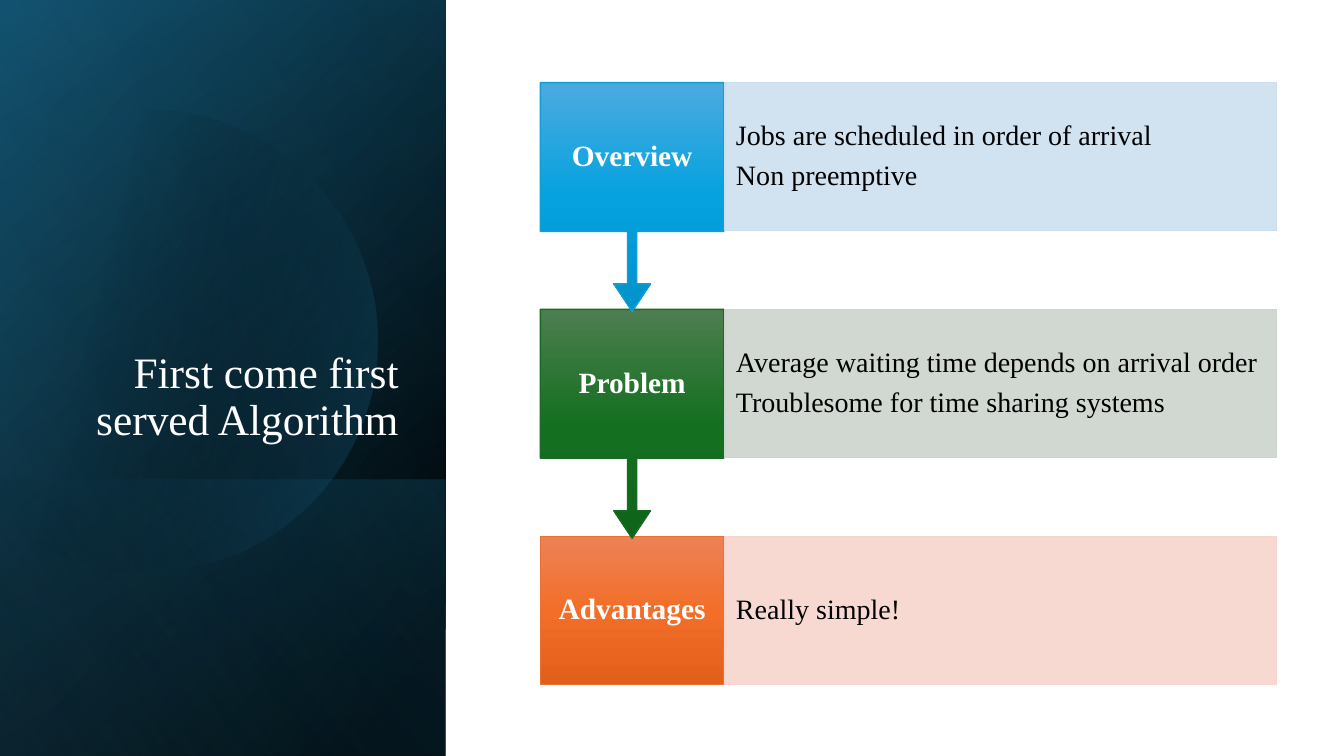
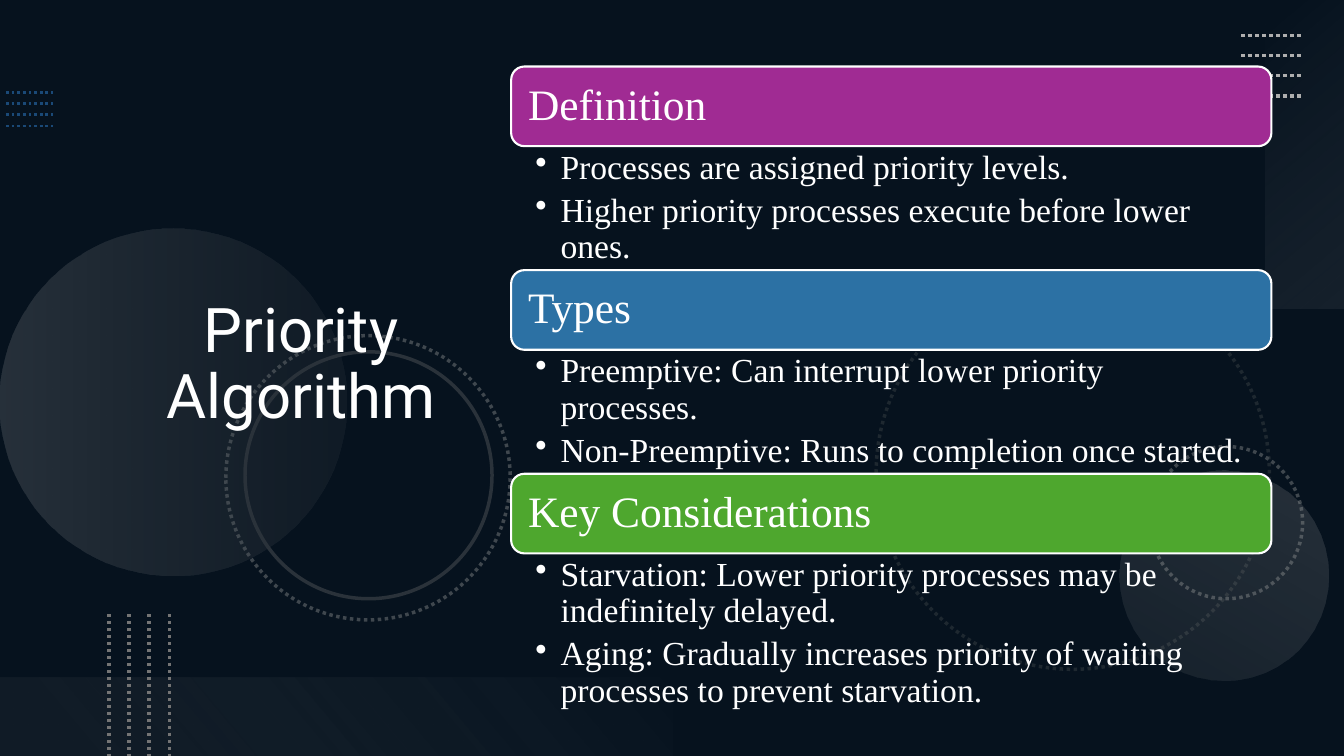
from dataclasses import dataclass
from math import acos, cos, sin

from lxml import etree
from pptx import Presentation
from pptx.dml.color import RGBColor
from pptx.enum.dml import MSO_LINE
from pptx.enum.shapes import MSO_CONNECTOR, MSO_SHAPE
from pptx.enum.text import MSO_ANCHOR, PP_ALIGN
from pptx.oxml.ns import qn
from pptx.util import Inches, Pt

RECT, OVAL = MSO_SHAPE.RECTANGLE, MSO_SHAPE.OVAL
ROUND, CALLOUT = MSO_SHAPE.ROUNDED_RECTANGLE, MSO_SHAPE.DOWN_ARROW_CALLOUT
STRAIGHT, DOTS = MSO_CONNECTOR.STRAIGHT, MSO_LINE.ROUND_DOT
LEFT, CENTER, RIGHT = PP_ALIGN.LEFT, PP_ALIGN.CENTER, PP_ALIGN.RIGHT
TOP, MIDDLE, BOTTOM = MSO_ANCHOR.TOP, MSO_ANCHOR.MIDDLE, MSO_ANCHOR.BOTTOM


@dataclass(frozen=True)
class Theme:
    # Colours
    white: str = "FFFFFF"
    black: str = "000000"
    night: str = "06121E"
    deep: str = "104862"
    teal: str = "156082"
    sky: str = "46B1E1"
    blue: str = "1A4977"
    gray: str = "747474"
    silver: str = "AEAEAE"
    dot: str = "3F474E"
    ring: str = "2A323A"
    faint: str = "1E2830"
    # Row colours: gradient, edge, pale panel
    rows: tuple = (
        (("4CAADF", "05A2DF", "0092CB"), "0F9ED5", "CCDFEF"),
        (("4D7E50", "156F21", "0F661B"), "196B24", "CCD4CD"),
        (("ED8257", "F26E29", "E25F1A"), "E97132", "F7D5CE"),
    )
    bars: tuple = ("A02B93", "2C71A4", "4EA72E")
    # Fonts and type sizes
    serif: str = "Times New Roman"
    sans: str = "Roboto"
    big: int = 44
    head: int = 31
    item: int = 24
    label: int = 21
    body: int = 20


class Deck:
    def __init__(self, theme):
        self.theme = theme
        self.show = Presentation()
        self.show.slide_width = Inches(13.33)
        self.show.slide_height = Inches(7.5)

    def page(self, color):
        self.slide = self.show.slides.add_slide(self.show.slide_layouts[6])
        fill = self.slide.background.fill
        fill.solid()
        fill.fore_color.rgb = RGBColor.from_string(color)

    def ink(self, line, color, width, dash=None):
        line.color.rgb = RGBColor.from_string(color)
        line.width = Pt(width)
        if dash:
            line.dash_style = dash

    def fade(self, shape, stops, angle):
        """Fill with (position, colour, opacity) stops; angle is clockwise."""
        shape.fill.gradient()
        shape.fill.gradient_angle = (360 - angle) % 360
        group = shape._element.spPr.find(qn("a:gradFill")).find(qn("a:gsLst"))
        for old in list(group):
            group.remove(old)
        for place, color, alpha in stops:
            stop = etree.SubElement(group, qn("a:gs"), pos=str(place * 1000))
            tint = etree.SubElement(stop, qn("a:srgbClr"), val=color)
            etree.SubElement(tint, qn("a:alpha"), val=str(alpha * 1000))

    def shape(self, kind, box, fill=None, stops=None, angle=0, line=None):
        item = self.slide.shapes.add_shape(kind, *map(Inches, box))
        item.shadow.inherit = False
        if stops:
            self.fade(item, stops, angle)
        elif fill:
            item.fill.solid()
            item.fill.fore_color.rgb = RGBColor.from_string(fill)
        else:
            item.fill.background()
        if line:
            self.ink(item.line, *line)
        else:
            item.line.fill.background()
        return item

    def disc(self, x, y, radius, edge, stops, angle):
        """Draw a circle cut off by a vertical line at x = edge."""
        reach = acos((edge - x) / radius)
        turns = [reach * (step / 60 - 1) for step in range(121)]
        dots = [(Inches(x + radius * cos(t)), Inches(y + radius * sin(t)))
                for t in turns]
        pen = self.slide.shapes.build_freeform(*dots[0])
        pen.add_line_segments(dots[1:], close=True)
        item = pen.convert_to_shape()
        item.shadow.inherit = False
        item.line.fill.background()
        self.fade(item, stops, angle)

    def rule(self, start, end, color, width=2.5):
        line = self.slide.shapes.add_connector(
            STRAIGHT, *map(Inches, (*start, *end)))
        self.ink(line.line, color, width, DOTS)
        etree.SubElement(line._element.spPr, qn("a:effectLst"))

    def label(self, item, text, size, color, align=LEFT, anchor=MIDDLE,
              pad=(0.1, 0.05), after=0, bold=False, font=None, bullet=False):
        frame = item.text_frame
        frame.word_wrap = True
        frame.vertical_anchor = anchor
        frame.margin_left = frame.margin_right = Inches(pad[0])
        frame.margin_top = frame.margin_bottom = Inches(pad[1])
        frame.text = text
        for para in frame.paragraphs:
            para.alignment = align
            para.line_spacing = 0.9
            para.space_after = Pt(after)
            if bullet:
                para.level = 1
                props = para._p.get_or_add_pPr()
                props.set("marL", str(Inches(0.25)))
                props.set("indent", str(-Inches(0.25)))
                etree.SubElement(props, qn("a:buChar"), char="•")
            para.font.name = font or self.theme.serif
            para.font.size = Pt(size)
            para.font.bold = bold
            para.font.color.rgb = RGBColor.from_string(color)

    def text(self, box, text, size, color, **style):
        item = self.slide.shapes.add_textbox(*map(Inches, box))
        self.label(item, text, size, color, **style)

    def title(self, box, text, size, **style):
        self.text(box, text, size, self.theme.white, **style)


def first(deck):
    theme = deck.theme
    deck.page(theme.white)

    # Side panel
    side = (0, 0, 4.42, 7.5)
    deck.shape(RECT, side, angle=220,
               stops=[(8, theme.black, 100), (100, theme.deep, 100)])
    deck.shape(RECT, side, angle=240,
               stops=[(0, theme.black, 0), (99, theme.teal, 46)])
    deck.shape(RECT, (0, 4.76, 4.42, 2.74), angle=140,
               stops=[(2, theme.teal, 29), (100, theme.black, 30)])
    deck.disc(1.45, 3.38, 2.29, 0, angle=14,
              stops=[(29, theme.black, 0), (100, theme.teal, 43)])
    deck.shape(RECT, side, angle=150,
               stops=[(0, theme.black, 0), (99, theme.sky, 11)])
    deck.title((0.64, 1.84, 3.41, 2.62), "First come first served Algorithm",
               theme.head, align=RIGHT, anchor=BOTTOM)

    # Rows, lowest first so that each arrow tip lies over the next row
    rows = [
        ("Overview", "Jobs are scheduled in order of arrival\nNon preemptive"),
        ("Problem", "Average waiting time depends on arrival order\n"
         "Troublesome for time sharing systems"),
        ("Advantages", "Really simple!"),
    ]
    last = len(rows) - 1
    for index in range(last, -1, -1):
        name, body = rows[index]
        shades, edge, pale = theme.rows[index]
        top = 0.82 + 2.25 * index
        kind, tall = (RECT, 1.47) if index == last else (CALLOUT, 2.27)
        stops = [(50 * n, shade, 100) for n, shade in enumerate(shades)]
        head = deck.shape(kind, (5.36, top, 1.82, tall), stops=stops,
                          angle=90, line=(edge, 1))
        if kind == CALLOUT:
            for slot, value in enumerate((0.05, 0.1, 0.15, 0.65)):
                head.adjustments[slot] = value
        deck.label(head, name, theme.label, theme.white, align=CENTER,
                   pad=(0.13, 0.16), bold=True)
        panel = deck.shape(RECT, (7.19, top, 5.47, 1.47),
                           stops=[(0, pale, 90), (100, pale, 90)],
                           line=(pale, 1))
        deck.label(panel, body, theme.body, theme.black, pad=(0.11, 0.28),
                   after=7)


def second(deck):
    theme = deck.theme
    deck.page(theme.night)

    # Blue dots and rings
    for row in range(4):
        y = 0.92 + 0.11 * row
        deck.rule((0.06, y), (0.53, y), theme.blue, 2)
    for x, y, size, color in ((8.69, 2.74, 3.9, theme.faint),
                              (11.41, 4.43, 1.51, theme.dot)):
        deck.shape(OVAL, (x, y, size, size), line=(color, 2.5, DOTS))

    # Soft discs
    deck.shape(OVAL, (0, 2.27, 3.44, 3.44),
               stops=[(0, theme.silver, 20), (100, theme.gray, 10)])
    deck.shape(OVAL, (11.1, 4.67, 2.08, 2.08), angle=300,
               stops=[(0, theme.silver, 10), (100, theme.silver, 20)])
    deck.shape(OVAL, (2.24, 3.33, 2.82, 2.82), line=(theme.dot, 2.5, DOTS))
    deck.shape(OVAL, (2.43, 3.49, 2.45, 2.45), line=(theme.ring, 2.5))

    # Corner bands and dotted lines
    deck.shape(RECT, (12.55, 0, 0.78, 3.06), angle=50,
               stops=[(0, theme.white, 0), (100, theme.silver, 10)])
    for row in range(4):
        y = 0.35 + 0.2 * row
        deck.rule((12.31, y), (12.91, y), theme.silver)
    deck.shape(RECT, (0, 6.72, 6.67, 0.78), angle=320,
               stops=[(10, theme.gray, 10), (100, theme.white, 0)])
    for column in range(4):
        x = 1.08 + 0.2 * column
        deck.rule((x, 6.09), (x, 7.5), theme.gray)

    deck.title((0.69, 0.54, 4.59, 6.17), "Priority\vAlgorithm", theme.big,
               align=CENTER, font=theme.sans)

    # Topics
    topics = [
        ("Definition", 1.23,
         "Processes are assigned priority levels.\n"
         "Higher priority processes execute before lower ones."),
        ("Types", 1.23,
         "Preemptive: Can interrupt lower priority processes.\n"
         "Non-Preemptive: Runs to completion once started."),
        ("Key Considerations", 1.54,
         "Starvation: Lower priority processes may be indefinitely delayed.\n"
         "Aging: Gradually increases priority of waiting processes "
         "to prevent starvation."),
    ]
    for index, (name, tall, body) in enumerate(topics):
        top = 0.66 + 2.02 * index
        bar = deck.shape(ROUND, (5.07, top, 7.54, 0.79),
                         fill=theme.bars[index], line=(theme.white, 1.5))
        deck.label(bar, name, theme.head, theme.white, pad=(0.13, 0.13))
        deck.text((5.07, top + 0.79, 7.54, tall), body, theme.item,
                  theme.white, anchor=TOP, pad=(0.24, 0.04), after=5,
                  bullet=True)


def main():
    deck = Deck(Theme())
    first(deck)
    second(deck)
    deck.show.save("out.pptx")


if __name__ == "__main__":
    main()
